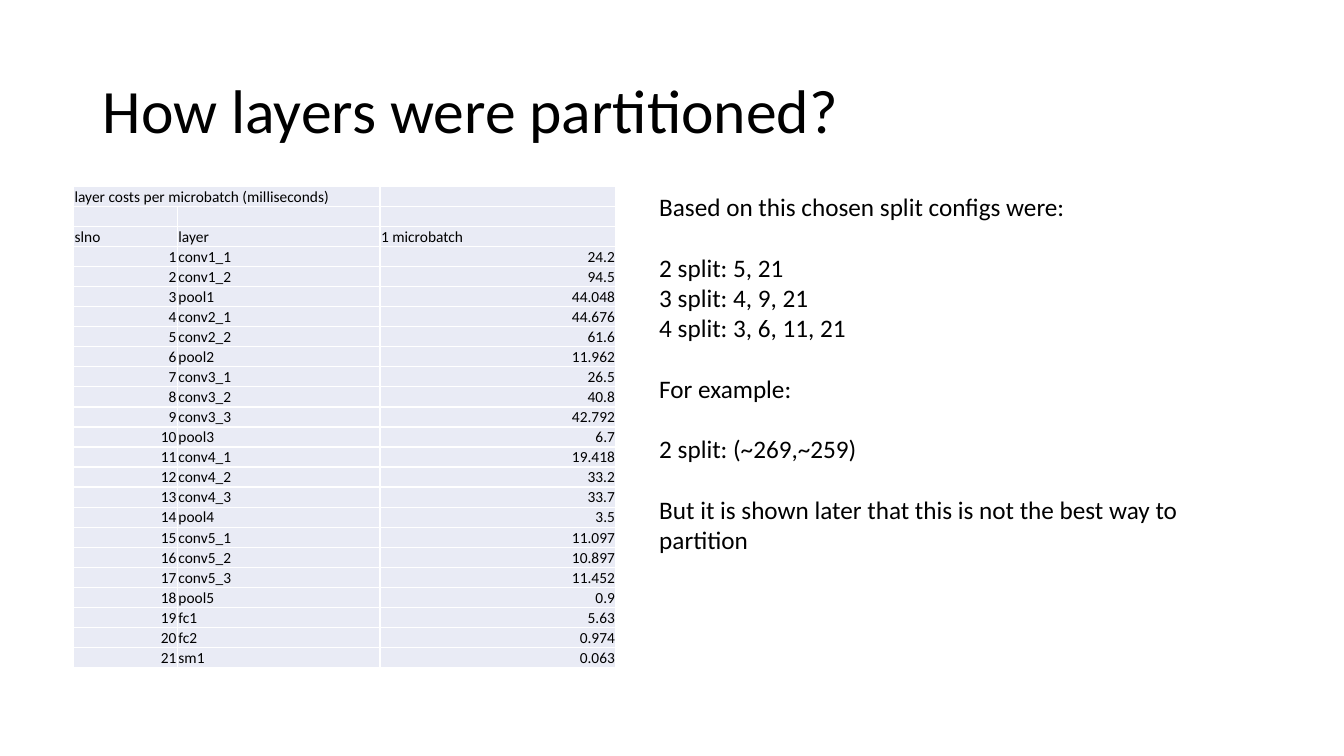
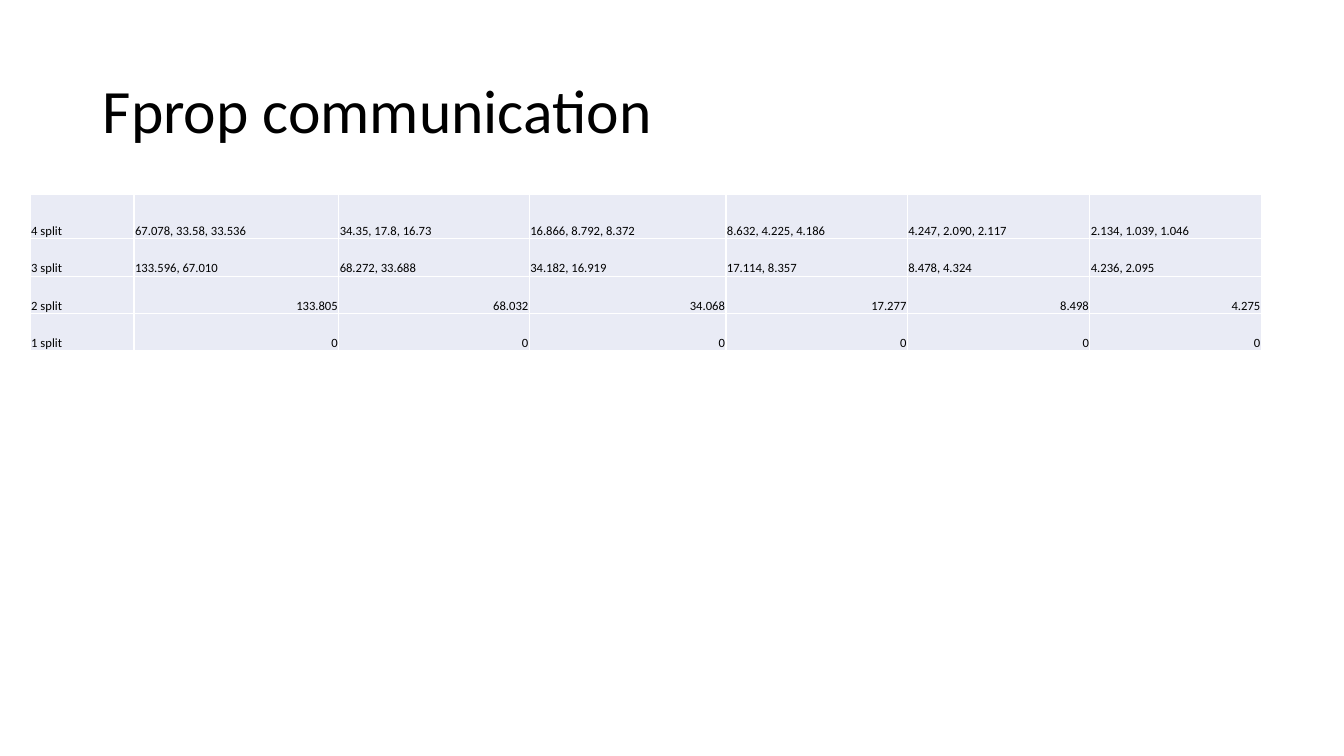
import pptx
import pptx.dml.color
import pptx.enum.text
import pptx.oxml.ns
import pptx.util
from lxml import etree

Inches = pptx.util.Inches
Pt = pptx.util.Pt
qn = pptx.oxml.ns.qn
ALIGN = pptx.enum.text.PP_ALIGN
ANCHOR = pptx.enum.text.MSO_ANCHOR

FONT = "Calibri"
INK = "000000"
CELL_FILL = "E9EBF5"
GRID = "FFFFFF"
TITLE_BOX = (0.92, 0.4, 11.5, 1.45)
TITLE_ONLY = 5

LAYER_COSTS = [
    ("conv1_1", 24.2), ("conv1_2", 94.5), ("pool1", 44.048),
    ("conv2_1", 44.676), ("conv2_2", 61.6), ("pool2", 11.962),
    ("conv3_1", 26.5), ("conv3_2", 40.8), ("conv3_3", 42.792), ("pool3", 6.7),
    ("conv4_1", 19.418), ("conv4_2", 33.2), ("conv4_3", 33.7), ("pool4", 3.5),
    ("conv5_1", 11.097), ("conv5_2", 10.897), ("conv5_3", 11.452), ("pool5", 0.9),
    ("fc1", 5.63), ("fc2", 0.974), ("sm1", 0.063),
]
SPLIT_NOTES = [
    ["Based on this chosen split configs were:"],
    ["2 split: 5, 21", "3 split: 4, 9, 21", "4 split: 3, 6, 11, 21"],
    ["For example:"],
    ["2 split: (~269,~259)"],
    ["But it is shown later that this is not the best way to partition"],
]
FPROP_TIMES = [
    ("4 split", "67.078, 33.58, 33.536", "34.35, 17.8, 16.73", "16.866, 8.792, 8.372",
     "8.632, 4.225, 4.186", "4.247, 2.090, 2.117", "2.134, 1.039, 1.046"),
    ("3 split", "133.596, 67.010", "68.272, 33.688", "34.182, 16.919",
     "17.114, 8.357", "8.478, 4.324", "4.236, 2.095"),
    ("2 split", 133.805, 68.032, 34.068, 17.277, 8.498, 4.275),
    ("1 split", 0, 0, 0, 0, 0, 0),
]


def color(hex_value):
    return pptx.dml.color.RGBColor.from_string(hex_value)


def add_run(paragraph, text, size):
    run = paragraph.add_run()
    run.text = text
    run.font.name = FONT
    run.font.size = Pt(size)
    run.font.color.rgb = color(INK)


def add_titled_slide(deck, title):
    slide = deck.slides.add_slide(deck.slide_layouts[TITLE_ONLY])
    heading = slide.shapes.title
    heading.left, heading.top, heading.width, heading.height = map(Inches, TITLE_BOX)
    frame = heading.text_frame
    frame.vertical_anchor = ANCHOR.MIDDLE
    frame.auto_size = pptx.enum.text.MSO_AUTO_SIZE.NONE
    line = frame.paragraphs[0]
    line.alignment = ALIGN.LEFT
    line.line_spacing = 0.9
    add_run(line, title, 44)
    return slide


def outline_cell(cell):
    properties = cell._tc.get_or_add_tcPr()
    for side in ("a:lnL", "a:lnR", "a:lnT", "a:lnB"):
        border = etree.SubElement(properties, qn(side), w=str(Pt(1)))
        solid = etree.SubElement(border, qn("a:solidFill"))
        etree.SubElement(solid, qn("a:srgbClr"), val=GRID)


def fill_cell(cell, value, size):
    """Numbers go to the right, words to the left; None leaves the cell empty."""
    cell.margin_left = cell.margin_right = cell.margin_top = Inches(0.01)
    cell.margin_bottom = 0
    cell.vertical_anchor = ANCHOR.BOTTOM
    outline_cell(cell)
    cell.fill.solid()
    cell.fill.fore_color.rgb = color(CELL_FILL)
    line = cell.text_frame.paragraphs[0]
    if value is None:
        etree.SubElement(line._p, qn("a:endParaRPr"), sz=str(size * 100))
        return
    line.alignment = ALIGN.LEFT if isinstance(value, str) else ALIGN.RIGHT
    add_run(line, str(value), size)


def add_grid(slide, left, top, widths, heights, rows, size):
    table = slide.shapes.add_table(
        len(rows), len(widths), Inches(left), Inches(top),
        Inches(sum(widths)), Inches(sum(heights))).table
    table.first_row = table.horz_banding = False
    for column, width in zip(table.columns, widths):
        column.width = Inches(width)
    for row, height, values in zip(table.rows, heights, rows):
        row.height = Inches(height)
        for cell, value in zip(row.cells, values):
            fill_cell(cell, value, size)
    return table


def add_notes_text(slide, left, top, width, height, groups):
    """Groups of lines, set apart by one line of space."""
    frame = slide.shapes.add_textbox(*map(Inches, (left, top, width, height))).text_frame
    frame.word_wrap = True
    line = frame.paragraphs[0]
    for group_index, group in enumerate(groups):
        for line_index, text in enumerate(group):
            if group_index or line_index:
                line = frame.add_paragraph()
            if group_index and not line_index:
                line.space_before = Pt(21.6)
            add_run(line, text, 18)


def build_partition_slide(deck):
    slide = add_titled_slide(deck, "How layers were partitioned?")
    rows = [
        ("layer costs per microbatch (milliseconds)", None, None),
        (None, None, None),
        ("slno", "layer", "1 microbatch"),
    ]
    rows += [(number, *cost) for number, cost in enumerate(LAYER_COSTS, 1)]
    heights = [4.76 / len(rows)] * len(rows)
    costs = add_grid(slide, 0.73, 1.85, [1.03, 2.01, 2.34], heights, rows, 11)
    costs.cell(0, 0).merge(costs.cell(0, 1))
    add_notes_text(slide, 6.44, 1.85, 5.6, 3.74, SPLIT_NOTES)


def build_fprop_slide(deck):
    slide = add_titled_slide(deck, "Fprop communication")
    widths = [1.03, 2.03, 1.89, 1.95, 1.8, 1.81, 1.7]
    heights = [0.44] + [0.37] * 3
    add_grid(slide, 0.3, 1.93, widths, heights, FPROP_TIMES, 9)


def main():
    deck = pptx.Presentation()
    deck.slide_width, deck.slide_height = Inches(13.33), Inches(7.5)
    build_partition_slide(deck)
    build_fprop_slide(deck)
    deck.save("out.pptx")


if __name__ == "__main__":
    main()
